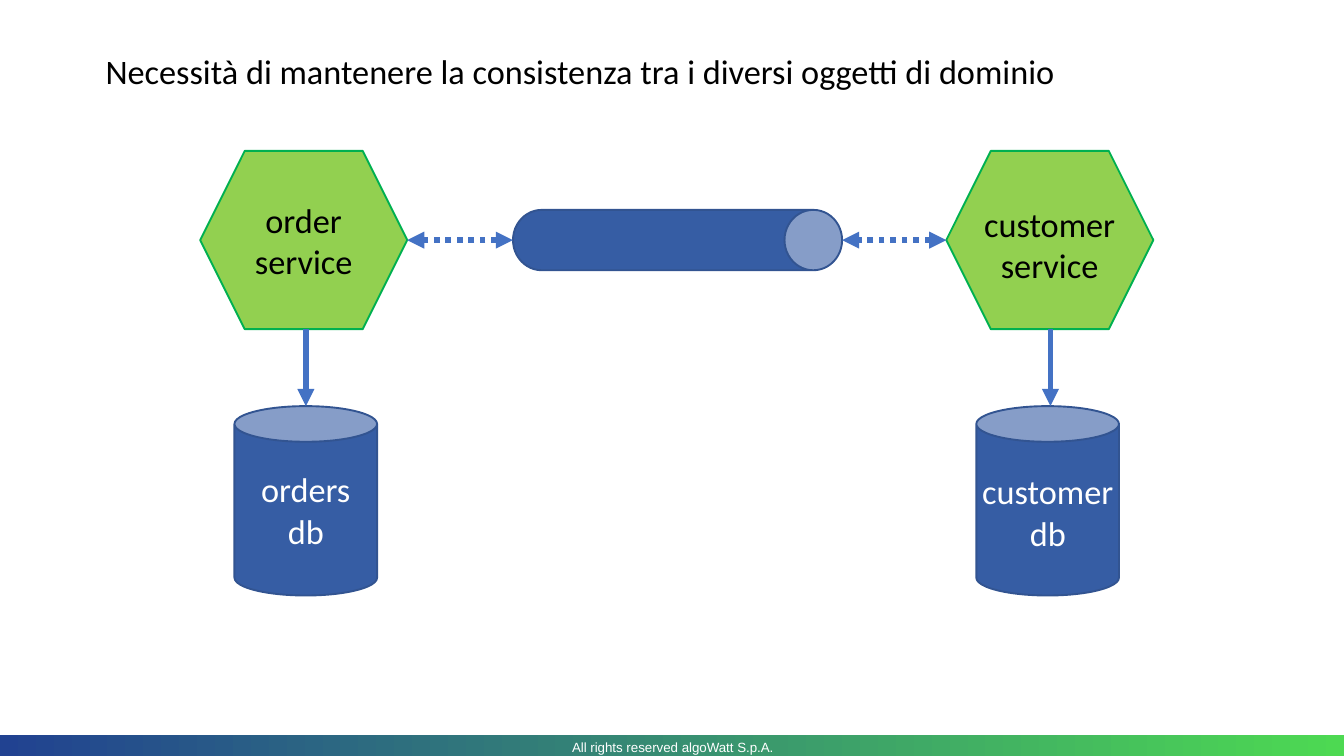
from dataclasses import dataclass

from lxml import etree
from pptx import Presentation
from pptx import util as u
from pptx.dml.color import RGBColor
from pptx.enum import dml, shapes, text
from pptx.oxml.ns import qn

COLORS = {
    "green": "92D050", "green_edge": "00B050",
    "blue": "365DA4", "blue_edge": "325491", "arrow": "4472C4",
    "band_start": "4DD952", "band_end": "214291",
    "black": "000000", "white": "FFFFFF",
}
SLIDE_W, SLIDE_H = 705.6, 396.7
HEX_TOP, HEX_W, HEX_H = 79.2, 108.7, 93.6
DB_TOP, DB_W, DB_H = 213.1, 74.9, 99.4
ORDER_X, CUSTOMER_X = 105.1, 496.8
AXIS_Y = HEX_TOP + HEX_H / 2
PIPE_LEFT, PIPE_RIGHT, PIPE_THICK = 269.3, 442.1, 31.7


@dataclass
class Node:
    kind: shapes.MSO_SHAPE
    left: float
    top: float
    width: float
    height: float
    fill: str
    edge: str
    font: str = "white"
    lines: tuple[str, ...] = ()
    rotation: float = 0
    adjust: float | None = None


@dataclass
class Label:
    left: float
    top: float
    width: float
    height: float
    lines: tuple[str, ...]
    color: str
    size: float = 18
    font: str = "Calibri"
    anchor: text.MSO_ANCHOR = text.MSO_ANCHOR.TOP
    wrap: bool = False


@dataclass
class Arrow:
    start: tuple[float, float]
    end: tuple[float, float]
    two_way: bool = False


def rgb(name: str) -> RGBColor:
    return RGBColor.from_string(COLORS[name])


def write_lines(frame, lines: tuple[str, ...], color: str, size: float = 18,
                font: str = "Calibri", align=text.PP_ALIGN.CENTER) -> None:
    for index, line in enumerate(lines):
        para = frame.add_paragraph() if index else frame.paragraphs[0]
        para.alignment = align
        span = para.add_run()
        span.text = line
        span.font.size = u.Pt(size)
        span.font.name = font
        span.font.color.rgb = rgb(color)


def draw_node(page, node: Node) -> None:
    shape = page.shapes.add_shape(node.kind, u.Pt(node.left), u.Pt(node.top),
                                  u.Pt(node.width), u.Pt(node.height))
    shape.shadow.inherit = False
    shape.rotation = node.rotation
    if node.adjust is not None:
        shape.adjustments[0] = node.adjust
    shape.fill.solid()
    shape.fill.fore_color.rgb = rgb(node.fill)
    shape.line.color.rgb = rgb(node.edge)
    shape.line.width = u.Pt(1)
    shape.text_frame.vertical_anchor = text.MSO_ANCHOR.MIDDLE
    write_lines(shape.text_frame, node.lines, node.font)


def draw_label(page, label: Label) -> None:
    box = page.shapes.add_textbox(u.Pt(label.left), u.Pt(label.top),
                                  u.Pt(label.width), u.Pt(label.height))
    box.text_frame.word_wrap = label.wrap
    box.text_frame.vertical_anchor = label.anchor
    write_lines(box.text_frame, label.lines, label.color, label.size, label.font)


def draw_arrow(page, arrow: Arrow) -> None:
    link = page.shapes.add_connector(shapes.MSO_CONNECTOR.STRAIGHT,
                                     *(u.Pt(v) for v in arrow.start + arrow.end))
    link.line.color.rgb = rgb("arrow")
    link.line.width = u.Pt(3)
    if arrow.two_way:
        link.line.dash_style = dml.MSO_LINE.ROUND_DOT
    ends = ("a:headEnd", "a:tailEnd") if arrow.two_way else ("a:tailEnd",)
    for end in ends:
        etree.SubElement(link.line._get_or_add_ln(), qn(end), type="triangle")
    etree.SubElement(link._element.spPr, qn("a:effectLst"))


def draw_band(page) -> None:
    height = 10.8
    band = page.shapes.add_shape(shapes.MSO_SHAPE.RECTANGLE, 0, u.Pt(SLIDE_H - height),
                                 u.Pt(SLIDE_W), u.Pt(height))
    band.shadow.inherit = False
    band.line.fill.background()
    band.fill.gradient()
    band.fill.gradient_angle = 180
    for stop, name in zip(band.fill.gradient_stops, ("band_start", "band_end")):
        stop.color.rgb = rgb(name)


def draw_title(page, words: str) -> None:
    title = page.shapes.title
    title.left, title.top = u.Pt(48.2), u.Pt(23)
    title.width, title.height = u.Pt(519.1), u.Pt(28.8)
    frame = title.text_frame
    frame.word_wrap = False
    frame.auto_size = text.MSO_AUTO_SIZE.NONE
    frame.vertical_anchor = text.MSO_ANCHOR.TOP
    write_lines(frame, (words,), "black", align=text.PP_ALIGN.LEFT)


def hexagon(left: float, lines: tuple[str, ...] = ()) -> Node:
    return Node(shapes.MSO_SHAPE.HEXAGON, left, HEX_TOP, HEX_W, HEX_H,
                "green", "green_edge", "black", lines)


def database(left: float, lines: tuple[str, ...] = ()) -> Node:
    return Node(shapes.MSO_SHAPE.CAN, left, DB_TOP, DB_W, DB_H,
                "blue", "blue_edge", "white", lines)


def message_pipe() -> Node:
    length = PIPE_RIGHT - PIPE_LEFT
    center = (PIPE_LEFT + PIPE_RIGHT) / 2
    return Node(shapes.MSO_SHAPE.CAN, center - PIPE_THICK / 2, AXIS_Y - length / 2,
                PIPE_THICK, length, "blue", "blue_edge", rotation=90, adjust=0.954)


def main() -> None:
    deck = Presentation()
    deck.slide_width, deck.slide_height = u.Pt(SLIDE_W), u.Pt(SLIDE_H)
    page = deck.slides.add_slide(deck.slide_layouts[5])
    draw_title(page, "Necessità di mantenere la consistenza tra i diversi oggetti di dominio")

    # Footer
    draw_band(page)
    draw_label(page, Label(234, 381.6, 238.3, 20.9, ("All rights reserved algoWatt S.p.A.",),
                           "white", 7, "Arial", text.MSO_ANCHOR.MIDDLE, True))

    # Services, databases and the pipe between them
    for node in (hexagon(ORDER_X, ("order", "service")),
                 database(123.1, ("orders", "db")),
                 hexagon(CUSTOMER_X), database(512.6), message_pipe()):
        draw_node(page, node)

    # Customer labels, wider than the text area of their shapes
    for label in (Label(509, 103, 84.2, 51.1, ("customer", "service"), "black"),
                  Label(507.6, 243.4, 85, 51.1, ("customer", "db"), "white")):
        draw_label(page, label)

    # Links
    arrows = [Arrow((CUSTOMER_X, AXIS_Y), (PIPE_RIGHT, AXIS_Y), True),
              Arrow((PIPE_LEFT, AXIS_Y), (ORDER_X + HEX_W, AXIS_Y), True)]
    arrows += [Arrow((x, HEX_TOP + HEX_H), (x, DB_TOP)) for x in (160.6, 551.5)]
    for arrow in arrows:
        draw_arrow(page, arrow)

    deck.save("out.pptx")


if __name__ == "__main__":
    main()
